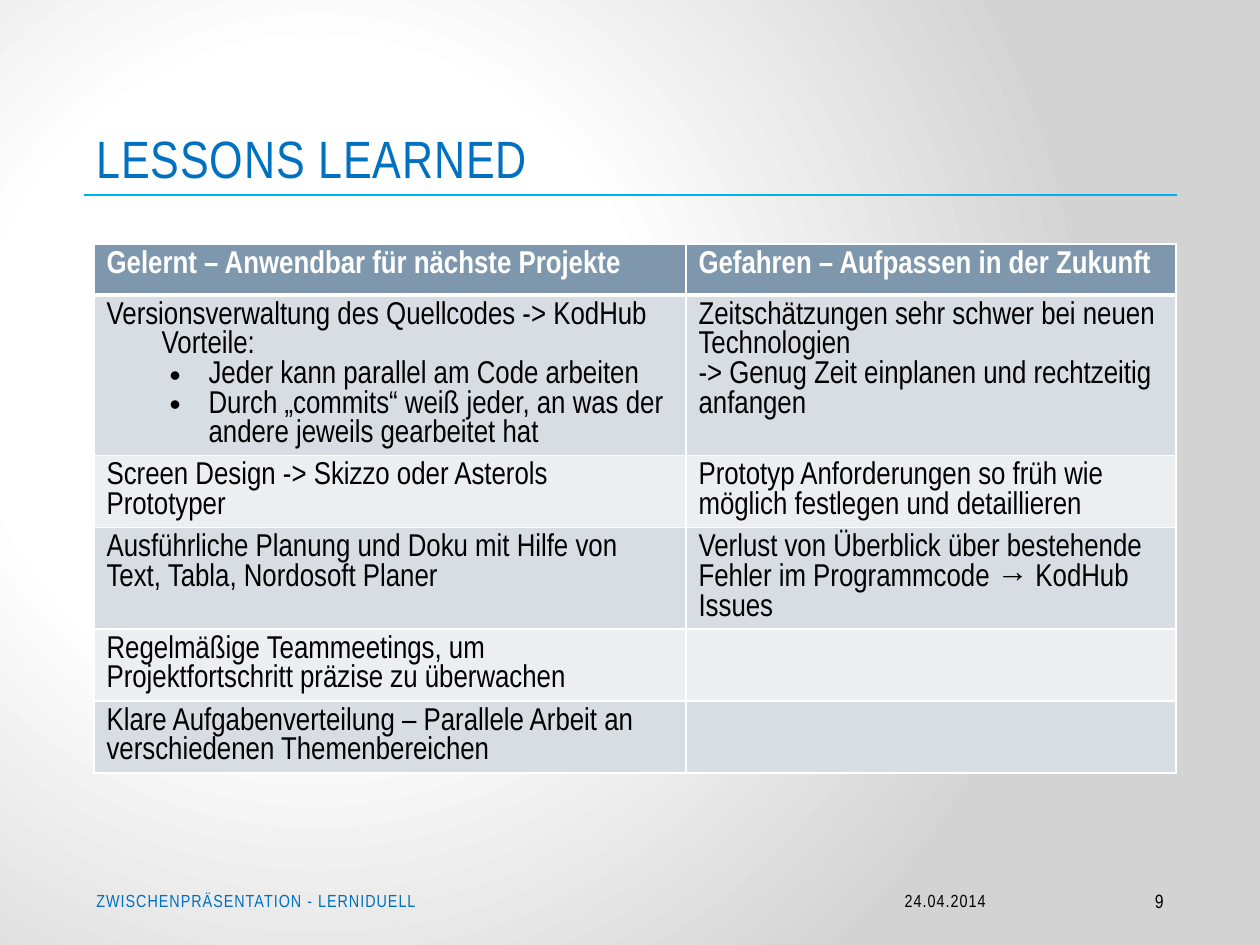
from pptx import Presentation
from pptx.dml.color import RGBColor
from pptx.enum.shapes import MSO_CONNECTOR
from pptx.enum.text import MSO_ANCHOR, PP_ALIGN
from pptx.oxml import parse_xml
from pptx.oxml.ns import nsdecls
from pptx.util import Pt
from lxml.etree import SubElement

# Content
TITLE = "LESSONS LEARNED"
HEAD = ("Gelernt – Anwendbar für nächste Projekte",
        "Gefahren – Aufpassen in der Zukunft")
# Each cell is a list of (kind, text) paragraphs
ROWS = [
    ([("text", "Versionsverwaltung des Quellcodes -> KodHub"),
      ("sub", "Vorteile:"),
      ("item", "Jeder kann parallel am Code arbeiten"),
      ("item", "Durch „commits“ weiß jeder, an was der andere jeweils gearbeitet hat")],
     [("text", "Zeitschätzungen sehr schwer bei neuen Technologien"),
      ("text", "-> Genug Zeit einplanen und rechtzeitig anfangen")]),
    ([("text", "Screen Design -> Skizzo oder Asterols Prototyper")],
     [("text", "Prototyp Anforderungen so früh wie möglich festlegen und detaillieren")]),
    ([("text", "Ausführliche Planung und Doku mit Hilfe von Text, Tabla, Nordosoft Planer")],
     [("text", "Verlust von Überblick über bestehende Fehler im Programmcode → KodHub Issues")]),
    ([("text", "Regelmäßige Teammeetings, um Projektfortschritt präzise zu überwachen")], []),
    ([("text", "Klare Aufgabenverteilung – Parallele Arbeit an verschiedenen Themenbereichen")], []),
]

# Colours and formats
BLUE = RGBColor(0x00, 0x70, 0xC0)
CYAN = RGBColor(0x00, 0xB0, 0xF0)
BLACK = RGBColor(0x00, 0x00, 0x00)
WHITE = RGBColor(0xFF, 0xFF, 0xFF)
SLATE = RGBColor(0x7E, 0x97, 0xAD)
BANDS = (RGBColor(0xD8, 0xDD, 0xE3), RGBColor(0xEC, 0xEF, 0xF1))
FONT = "Arial Narrow"
LARGE = {"name": FONT, "size": Pt(30), "bold": False}
CELL = {"name": FONT, "size": Pt(18), "bold": False}
BOLD = {**CELL, "bold": True}
SMALL = {"name": FONT, "size": Pt(10)}
PAGE = {"name": FONT, "size": Pt(11)}
INDENT = {"sub": (55, 0), "item": (102, -39)}

# Left, width, text, format, colour, alignment, letter spacing
FOOT = [
    (788, 210, "24.04.2014", SMALL, BLACK, PP_ALIGN.RIGHT, 60),
    (84, 400, "ZWISCHENPRÄSENTATION - LERNIDUELL", SMALL, BLUE, PP_ALIGN.LEFT, 60),
    (1040, 136, "9", PAGE, BLACK, PP_ALIGN.RIGHT, 0),
]
COLS = (592, 490)
ROW = 51


def px(n):
    return n * 914400 // 126


def box(*nums):
    return [px(n) for n in nums]


def write(para, text, form, color, space=0):
    run = para.add_run()
    run.text = text
    for key, val in form.items():
        setattr(run.font, key, val)
    run.font.color.rgb = color
    if space:
        run._r.get_or_add_rPr().set("spc", str(space))


def indent(para, kind):
    left, hang = INDENT[kind]
    prop = para._p.get_or_add_pPr()
    for key, val in (("marL", px(left)), ("indent", px(hang)), ("lvl", 1)):
        prop.set(key, str(val))
    if kind == "item":
        prop.append(parse_xml(f'<a:buFont {nsdecls("a")} typeface="Arial"/>'))
        prop.append(parse_xml(f'<a:buChar {nsdecls("a")} char="•"/>'))


def border(cell, base):
    prop = cell._tc.get_or_add_tcPr()
    sides = (("L", 1), ("R", 1), ("T", 1), ("B", base))
    for spot, (side, width) in enumerate(sides):
        prop.insert(spot, parse_xml(
            f'<a:ln{side} {nsdecls("a")} w="{Pt(width)}"><a:solidFill>'
            f'<a:srgbClr val="{WHITE}"/></a:solidFill></a:ln{side}>'))


def fill(cell, paras, form, color, back, base=1):
    cell.fill.solid()
    cell.fill.fore_color.rgb = back
    border(cell, base)
    frame = cell.text_frame
    for num, (kind, text) in enumerate(paras):
        para = frame.add_paragraph() if num else frame.paragraphs[0]
        if kind in INDENT:
            indent(para, kind)
        write(para, text, form, color)


deck = Presentation()
deck.slide_width, deck.slide_height = box(1260, 945)
slide = deck.slides.add_slide(deck.slide_layouts[5])
shapes = slide.shapes

# Background
back = slide.background.fill
back.gradient()
grad = slide._element.cSld.bg.bgPr.find(".//{*}gradFill")
for part in list(grad):
    grad.remove(part)
stops = "".join(f'<a:gs pos="{pos}000"><a:srgbClr val="{tone}"/></a:gs>'
                for pos, tone in ((0, "FFFFFF"), (41, "FFFFFF"), (100, "D3D3D3")))
grad.append(parse_xml(f'<a:gsLst {nsdecls("a")}>{stops}</a:gsLst>'))
grad.append(parse_xml(
    f'<a:path {nsdecls("a")} path="circle"><a:fillToRect l="50000" t="80000" '
    'r="100000" b="100000"/></a:path>'))

# Title and rule
title = shapes.title
title.left, title.top, title.width, title.height = box(84, 38, 1093, 157)
title.text_frame.vertical_anchor = MSO_ANCHOR.BOTTOM
para = title.text_frame.paragraphs[0]
para.alignment = PP_ALIGN.LEFT
write(para, TITLE, LARGE, BLUE, 50)
rule = shapes.add_connector(MSO_CONNECTOR.STRAIGHT, *box(84, 195, 1177, 195))
rule.line.color.rgb = CYAN
rule.line.width = Pt(1.25)
SubElement(rule._element.spPr,
           "{http://schemas.openxmlformats.org/drawingml/2006/main}effectLst")

# Table
count = len(ROWS) + 1
table = shapes.add_table(count, len(COLS),
                         *box(94, 244, sum(COLS), ROW * count)).table
for col, width in zip(table.columns, COLS):
    col.width = px(width)
for row in table.rows:
    row.height = px(ROW)
for col, text in enumerate(HEAD):
    fill(table.cell(0, col), [("text", text)], BOLD, WHITE, SLATE, 3)
for num, cells in enumerate(ROWS):
    for col, paras in enumerate(cells):
        fill(table.cell(num + 1, col), paras, CELL, BLACK, BANDS[num % 2])

# Footer
for left, width, text, form, color, align, space in FOOT:
    frame = shapes.add_textbox(*box(left, 876, width, 50)).text_frame
    frame.word_wrap = True
    frame.vertical_anchor = MSO_ANCHOR.MIDDLE
    para = frame.paragraphs[0]
    para.alignment = align
    write(para, text, form, color, space)

deck.save("out.pptx")
